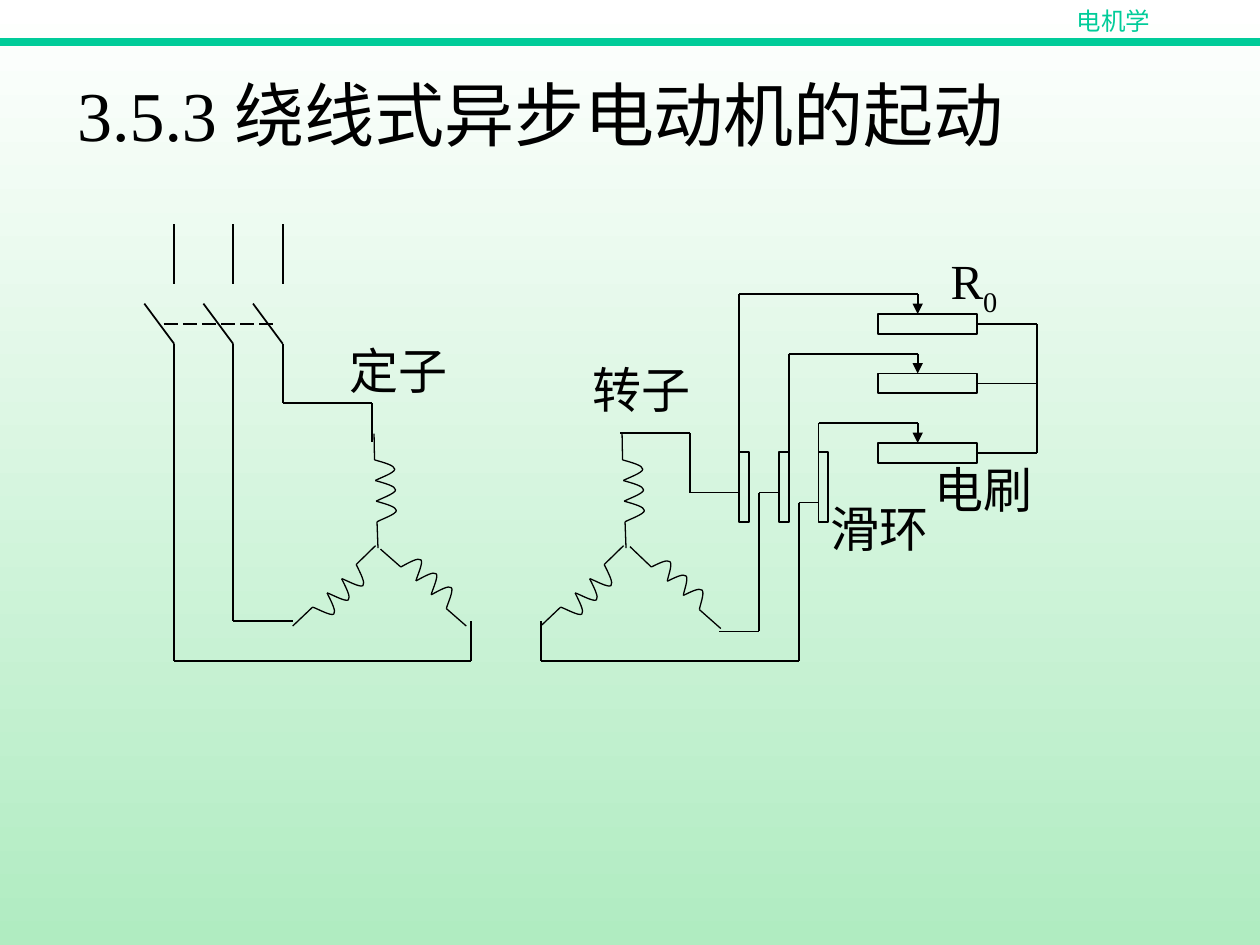
import math
from itertools import pairwise

from lxml import etree
from pptx import Presentation, util as u
from pptx.dml.color import RGBColor
from pptx.enum import dml, shapes as kinds, text
from pptx.oxml.ns import qn

FONT = "Times New Roman"
COLORS = {"ink": "000000", "accent": "00CC99", "top": "FFFFFF", "bottom": "B0ECC1"}

# All positions are in centimetres.
TITLE = "3.5.3 绕线式异步电动机的起动"
HEADER = (["电机学"], 20.54, 0, 3.81, 0.86)
LABELS = [  # runs, left, top, width, height
    (["转子"], 9.5, 7.13, 5.59, 1.45),
    (["定子"], 5.5, 6.73, 3.81, 1.45),
    (["R", "0"], 16.5, 4.93, 5, 1.6),
    (["电刷"], 16.9, 9.13, 4.6, 1.45),
    (["滑环"], 14.9, 9.93, 4.4, 1.45),
]

POLES = [3.51, 4.7, 5.7]
RESISTORS = [6.33, 7.53, 8.93]
RINGS = [14.9, 15.7, 16.5]
RESISTOR_LEFT, RESISTOR_WIDTH, RESISTOR_HEIGHT = 17.7, 2, 0.4
RING_TOP, RING_WIDTH, RING_HEIGHT = 9.12, 0.2, 1.4
BRUSH_X, BUS_X = 18.5, 20.9

WIRES = [
    # switch to stator
    [(5.7, 6.93), (5.7, 8.13), (7.5, 8.13), (7.5, 8.92)],
    [(4.7, 6.93), (4.7, 12.52), (5.9, 12.52)],
    [(3.51, 6.93), (3.51, 13.33), (9.5, 13.33), (9.5, 12.52)],
    # rotor to slip rings
    [(12.5, 8.73), (13.91, 8.73), (13.91, 9.93), (14.9, 9.93)],
    [(15.7, 9.93), (15.3, 9.93), (15.3, 12.73), (14.5, 12.73)],
    [(10.9, 12.52), (10.9, 13.33), (16.1, 13.33), (16.1, 10.13), (16.5, 10.13)],
    # slip rings to brushes, ending above each resistor
    [(14.9, 9.12), (14.9, 5.93), (BRUSH_X, 5.93)],
    [(15.9, 9.12), (15.9, 7.13), (BRUSH_X, 7.13)],
    [(16.5, 9.12), (16.5, 8.53), (BRUSH_X, 8.53)],
    # common point of the resistors
    [(BUS_X, 6.53), (BUS_X, 9.13)],
]

# Each coil: inner or upper lead, first turn, last turn, other lead; then depth.
TOP_COIL = ([(7.54, 8.74), (7.55, 9.27), (7.6, 10.52), (7.62, 11.05)], 0.4)
LEFT_COIL = ([(7.57, 11), (7.18, 11.38), (6.3, 12.24), (5.9, 12.62)], 0.4)
STATOR_RIGHT = ([(7.67, 11.07), (8.08, 11.43), (9, 12.27), (9.4, 12.62)], 0.38)
ROTOR_RIGHT = ([(7.7, 11.02), (8.13, 11.43), (9.1, 12.29), (9.53, 12.67)], 0.33)
WINDINGS = [(5, [TOP_COIL, ROTOR_RIGHT, LEFT_COIL]),
            (0, [TOP_COIL, STATOR_RIGHT, LEFT_COIL])]
TURNS = 3
# Two Bezier curves make one turn: (away from the axis, along the axis)
TURN = [(0, 0), (0.5, 0.16), (1, 0.31), (1, 0.49), (1, 0.67), (0.18, 0.9), (0, 1)]


def color(name):
    return RGBColor.from_string(COLORS[name])


def set_line(shape, width=1, name="ink"):
    shape.line.color.rgb = color(name)
    shape.line.width = u.Pt(width)


def add_line(shapes, start, end, width=1, name="ink", dash=None, arrow=False):
    line = shapes.add_connector(kinds.MSO_CONNECTOR.STRAIGHT,
                                *(u.Cm(value) for value in (*start, *end)))
    set_line(line, width, name)
    if dash:
        line.line.dash_style = dash
    properties = line.element.spPr
    if arrow:
        etree.SubElement(properties.find(qn("a:ln")), qn("a:tailEnd"), type="triangle")
    etree.SubElement(properties, qn("a:effectLst"))


def add_box(shapes, *place):
    box = shapes.add_shape(kinds.MSO_SHAPE.RECTANGLE, *(u.Cm(value) for value in place))
    box.shadow.inherit = False
    box.fill.background()
    set_line(box)


def add_runs(paragraph, runs, size, name="ink"):
    for content in runs:
        run = paragraph.add_run()
        run.text = content
        run.font.name = FONT
        run.font.size = u.Pt(size)
        run.font.color.rgb = color(name)
    return paragraph.runs


def add_label(shapes, runs, place, size, name="ink", indent=0):
    frame = shapes.add_textbox(*(u.Cm(value) for value in place)).text_frame
    frame.word_wrap = True
    frame.auto_size = text.MSO_AUTO_SIZE.SHAPE_TO_FIT_TEXT
    frame.margin_left = u.Cm(0.25 + indent)
    frame.paragraphs[0].alignment = text.PP_ALIGN.CENTER
    return add_runs(frame.paragraphs[0], runs, size, name)


def round_off(shape):
    """Turn every three line segments of a freeform into one Bezier curve."""
    segments = list(shape.element.iter(qn("a:lnTo")))
    for index in range(0, len(segments), 3):
        curve = etree.Element(qn("a:cubicBezTo"))
        segments[index].addprevious(curve)
        for segment in segments[index:index + 3]:
            curve.append(segment[0])
            segment.getparent().remove(segment)


def add_turn(shapes, center, depth, pitch, rotation):
    left, top = center[0] - depth / 2, center[1] - pitch / 2
    outline = [(u.Cm(left + away * depth), u.Cm(top + along * pitch))
               for away, along in TURN]
    builder = shapes.build_freeform(*outline[0])
    builder.add_line_segments(outline[1:], close=False)
    turn = builder.convert_to_shape()
    round_off(turn)
    turn.rotation = rotation
    turn.shadow.inherit = False
    turn.fill.background()
    set_line(turn, 0.75)


def add_coil(shapes, points, depth, shift):
    """Draw the turns on the straight axis between the two leads."""
    group = shapes.add_group_shape().shapes
    outer, first, last, end = [(x + shift, y) for x, y in points]
    dx, dy = ((last[axis] - first[axis]) / TURNS for axis in (0, 1))
    pitch = math.hypot(dx, dy)
    rotation = math.degrees(math.atan2(-dx, dy)) % 360
    offset = depth / 2 / pitch
    for turn in range(TURNS):
        center = (first[0] + (turn + 0.5) * dx + offset * dy,
                  first[1] + (turn + 0.5) * dy - offset * dx)
        add_turn(group, center, depth, pitch, rotation)
    add_line(group, first, outer, 0.75)
    add_line(group, last, end, 0.75)


def add_title(slide):
    title = slide.shapes.title
    title.left, title.top, title.width, title.height = map(u.Cm, (1.3, 1.3, 22.86, 1.96))
    frame = title.text_frame
    frame.auto_size = text.MSO_AUTO_SIZE.NONE
    frame.vertical_anchor = text.MSO_ANCHOR.MIDDLE
    frame.paragraphs[0].alignment = text.PP_ALIGN.LEFT
    add_runs(frame.paragraphs[0], [TITLE], 40)
    slide.shapes.element.append(title.element)


def main():
    presentation = Presentation()
    presentation.slide_width, presentation.slide_height = u.Cm(25.4), u.Cm(19.05)
    slide = presentation.slides.add_slide(presentation.slide_layouts[5])
    shapes = slide.shapes

    fill = slide.background.fill
    fill.gradient()
    fill.gradient_angle = 270
    for stop, position, name in zip(fill.gradient_stops, (0, 1), ("top", "bottom")):
        stop.position = position
        stop.color.rgb = color(name)

    add_line(shapes, (0, 0.85), (25.4, 0.85), 4.5, "accent")
    header, *place = HEADER
    add_label(shapes, header, place, 14, "accent")

    for x in POLES:
        add_line(shapes, (x, 4.52), (x, 5.72))
        add_line(shapes, (x - 0.6, 6.12), (x, 6.93))
    add_line(shapes, (3.3, 6.53), (5.5, 6.53), dash=dml.MSO_LINE.LONG_DASH)

    for shift, coils in WINDINGS:
        for points, depth in coils:
            add_coil(shapes, points, depth, shift)

    for y in RESISTORS:
        add_box(shapes, RESISTOR_LEFT, y, RESISTOR_WIDTH, RESISTOR_HEIGHT)
        middle = y + RESISTOR_HEIGHT / 2
        add_line(shapes, (RESISTOR_LEFT + RESISTOR_WIDTH, middle), (BUS_X, middle))
        add_line(shapes, (BRUSH_X, y - 0.4), (BRUSH_X, y), arrow=True)
    for x in RINGS:
        add_box(shapes, x, RING_TOP, RING_WIDTH, RING_HEIGHT)
    for wire in WIRES:
        for start, end in pairwise(wire):
            add_line(shapes, start, end)

    for runs, *place in LABELS:
        for subscript in add_label(shapes, runs, place, 28, indent=1.27)[1:]:
            subscript.font._element.set("baseline", "-25000")

    add_title(slide)
    presentation.save("out.pptx")


if __name__ == "__main__":
    main()
